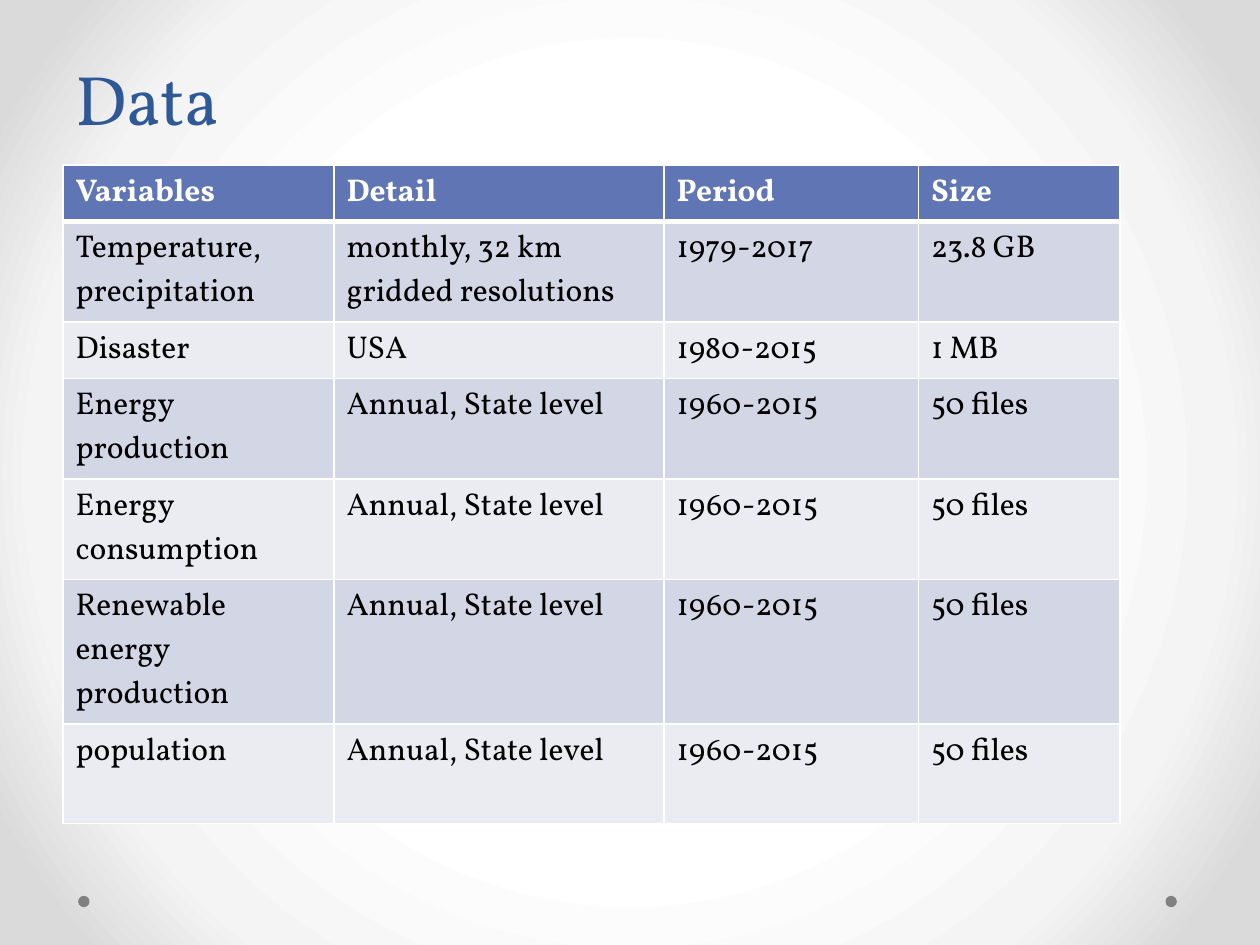
from pptx import Presentation
from pptx.dml.color import RGBColor
from pptx.enum.shapes import MSO_SHAPE as Shape
from pptx.enum.text import MSO_ANCHOR as Anchor, PP_ALIGN as Align
from pptx.oxml import parse_xml
from pptx.oxml.ns import nsdecls
from pptx.util import Inches, Pt

FONT = "Vollkorn"
BACKGROUND_STOPS = [(50, "FFFFFF"), (76, "F4F4F4"), (92, "DADADA")]
HEADER_FILL = "6076B4"
BAND_FILLS = ["EAECF2", "D2D6E5"]
COLUMN_WIDTHS = [2.15, 2.62, 2.02, 1.6]
ROW_HEIGHT = 0.41
LAST_ROW_HEIGHT = 0.79
STATE_DATA = ["Annual, State level", "1960-2015", "50 files"]
ROWS = [
    ["Variables", "Detail", "Period", "Size"],
    ["Temperature, precipitation", "monthly, 32 km gridded resolutions", "1979-2017", "23.8 GB"],
    ["Disaster", "USA", "1980-2015", "1 MB"],
    ["Energy production", *STATE_DATA],
    ["Energy consumption", *STATE_DATA],
    ["Renewable energy production", *STATE_DATA],
    ["population", *STATE_DATA],
]


def color(value):
    return RGBColor.from_string(value)


def set_values(target, values):
    for name, value in values.items():
        setattr(target, name, value)


def format_text(paragraph, size, text_color, bold=False):
    font = paragraph.runs[0].font
    set_values(font, {"name": FONT, "size": Pt(size), "bold": bold})
    font.color.rgb = color(text_color)


def set_background(slide):
    stops = "".join(
        f'<a:gs pos="{position * 1000}"><a:srgbClr val="{value}"/></a:gs>'
        for position, value in BACKGROUND_STOPS
    )
    slide.element.cSld.insert(0, parse_xml(
        f'<p:bg {nsdecls("p", "a")}><p:bgPr><a:gradFill rotWithShape="1">'
        f'<a:gsLst>{stops}</a:gsLst><a:path path="circle">'
        '<a:fillToRect l="50000" t="50000" r="50000" b="50000"/></a:path>'
        '</a:gradFill><a:effectLst/></p:bgPr></p:bg>'
    ))


def add_dot(slide, left):
    dot = slide.shapes.add_shape(
        Shape.OVAL, Inches(left), Inches(7.11), Inches(0.09), Inches(0.09))
    dot.shadow.inherit = False
    dot.fill.solid()
    dot.fill.fore_color.rgb = color("808080")
    dot.line.fill.background()


def set_title(slide, text):
    title = slide.shapes.title
    set_values(title, {"left": Inches(0.5), "top": Inches(0),
                       "width": Inches(9), "height": Inches(1.16)})
    title.text_frame.text = text
    title.text_frame.vertical_anchor = Anchor.BOTTOM
    paragraph = title.text_frame.paragraphs[0]
    set_values(paragraph, {"alignment": Align.LEFT, "line_spacing": Pt(58)})
    format_text(paragraph, 40, "2F5897")


def set_borders(cell, widths):
    properties = cell._tc.get_or_add_tcPr()
    for index, (side, width) in enumerate(widths.items()):
        properties.insert(index, parse_xml(
            f'<a:ln{side} {nsdecls("a")} w="{Pt(width)}"><a:solidFill>'
            f'<a:srgbClr val="FFFFFF"/></a:solidFill></a:ln{side}>'
        ))


def format_cell(cell, text, row_index):
    is_header = row_index == 0
    cell.text = text
    format_text(cell.text_frame.paragraphs[0], 18,
                "FFFFFF" if is_header else "000000", is_header)
    cell.fill.solid()
    cell.fill.fore_color.rgb = color(HEADER_FILL if is_header else BAND_FILLS[row_index % 2])
    set_borders(cell, {"L": 1, "R": 1, "T": 3 if row_index == 1 else 1,
                       "B": 3 if is_header else 1})


def add_data_table(slide):
    heights = [ROW_HEIGHT] * (len(ROWS) - 1) + [LAST_ROW_HEIGHT]
    table = slide.shapes.add_table(
        len(ROWS), len(COLUMN_WIDTHS), Inches(0.5), Inches(1.31),
        Inches(sum(COLUMN_WIDTHS)), Inches(sum(heights))).table
    for column, width in zip(table.columns, COLUMN_WIDTHS):
        column.width = Inches(width)
    for row_index, (row, height, texts) in enumerate(zip(table.rows, heights, ROWS)):
        row.height = Inches(height)
        for cell, text in zip(row.cells, texts):
            format_cell(cell, text, row_index)


def main():
    presentation = Presentation()
    set_values(presentation, {"slide_width": Inches(10), "slide_height": Inches(7.5)})
    slide = presentation.slides.add_slide(presentation.slide_layouts[5])
    set_background(slide)
    for left in (9.25, 0.62):
        add_dot(slide, left)
    set_title(slide, "Data")
    add_data_table(slide)
    presentation.save("out.pptx")


if __name__ == "__main__":
    main()
